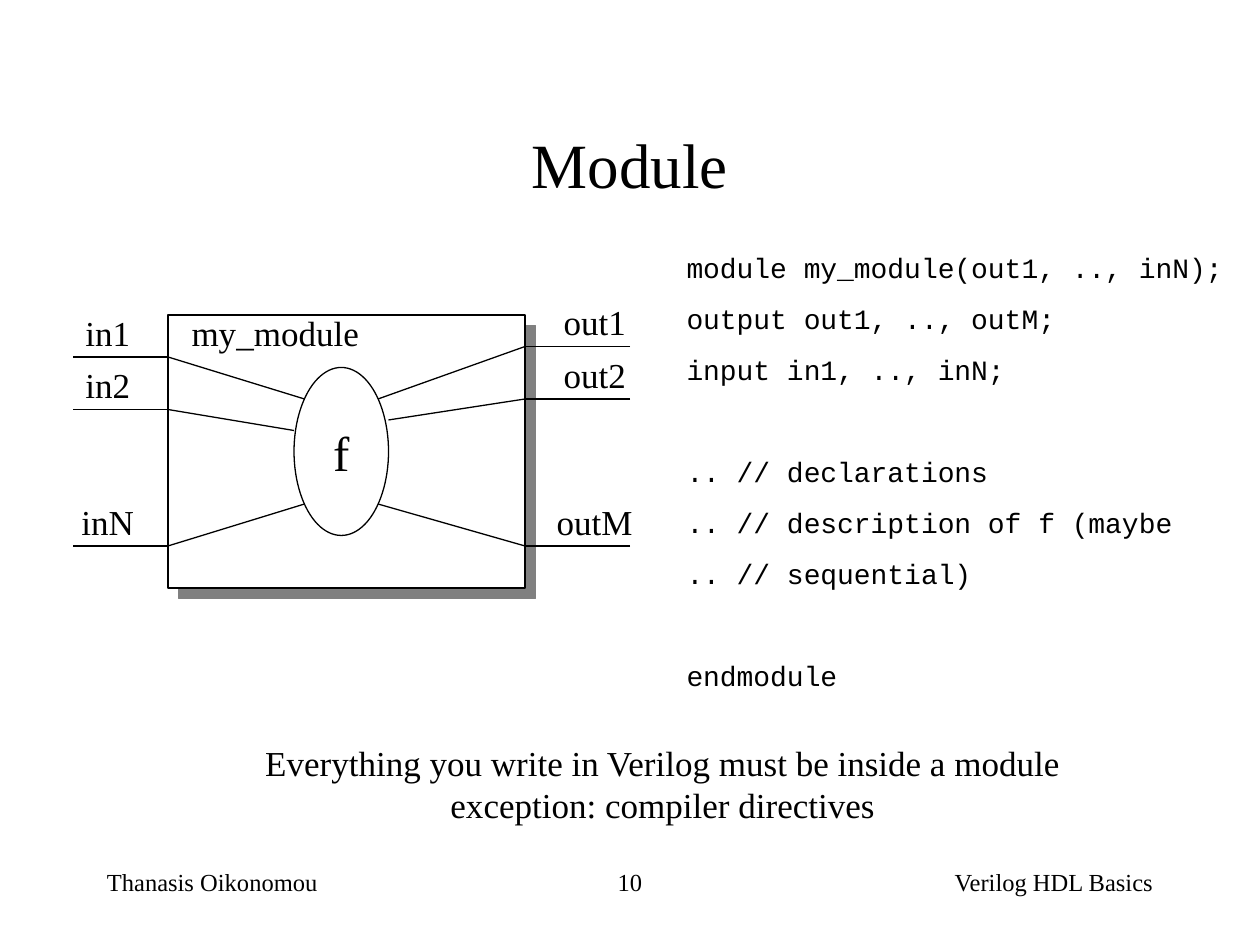
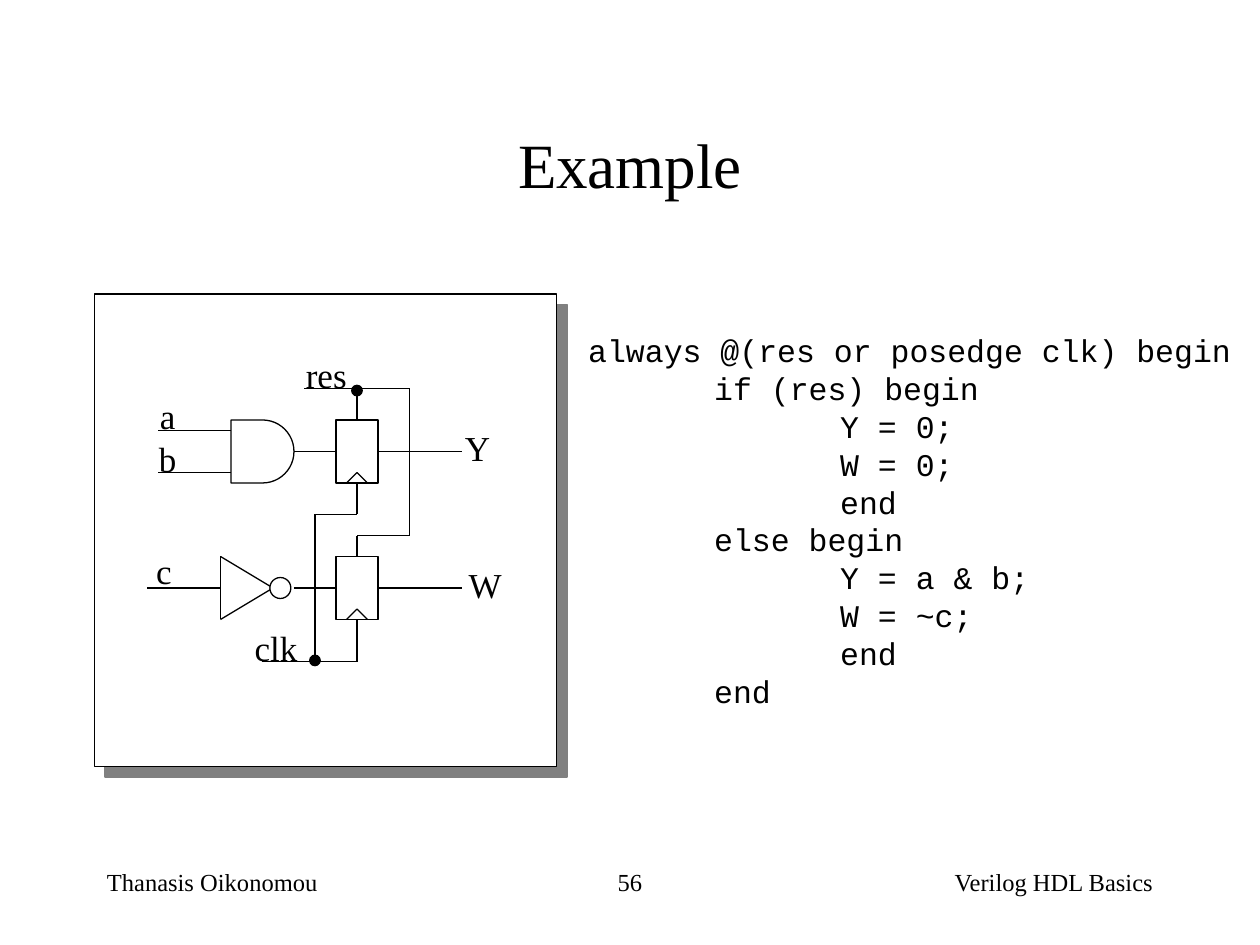
"""Build two Verilog slides: the module concept and a clocked example."""
from lxml import etree
from pptx import Presentation
from pptx.dml.color import RGBColor
from pptx.enum.shapes import MSO_CONNECTOR, MSO_SHAPE as Shape
from pptx.enum.text import MSO_ANCHOR as Anchor, MSO_AUTO_SIZE as AutoSize, PP_ALIGN as Align
from pptx.oxml.ns import qn
from pptx.util import Inches, Pt

COLORS = {"ink": "000000", "paper": "FFFFFF", "shadow": "808080"}
SERIF, MONO = "Times New Roman", "Courier New"
AUTHOR, COURSE = "Thanasis Oikonomou", "Verilog HDL Basics"
LABEL_HEIGHT = 0.44
SLACK_MARGIN = 0.05

# Diagram coordinates are in twelfths of an inch.
INPUTS = [("in1", 34, (29, 38), 0.55), ("in2", 39, (28, 41), 0.55), ("inN", 52, (29, 48), 0.61)]
OUTPUTS = [("out1", 33, (36, 38), 0.69), ("out2", 38, (37, 40), 0.69), ("outM", 52, (36, 48), 0.8)]
INPUT_CENTER, OUTPUT_CENTER = 0.855, 4.72
MODULE_CODE = [
    ["module my_module(out1, .., inN);", "output out1, .., outM;", "input in1, .., inN;"],
    [".. // declarations", ".. // description of f (maybe", ".. // sequential)"],
    ["endmodule"],
]
MODULE_RULE = ["Everything you write in Verilog must be inside a module",
               "exception: compiler directives"]

REGISTERS = [(32, 40), (32, 53)]
WIRES = [
    [(36, 43), (44, 43)],
    [(36, 56), (44, 56)],
    [(28, 43), (32, 43)],
    [(28, 56), (32, 56)],
    [(22, 41), (15, 41)],
    [(22, 45), (15, 45)],
    [(21, 56), (14, 56)],
    [(21, 59), (21, 53), (26, 56), (21, 59)],
    [(29, 37), (39, 37), (39, 51), (34, 51), (34, 53)],
    [(34, 37), (34, 40)],
    [(25, 63), (34, 63), (34, 59)],
    [(34, 46), (34, 49), (30, 49), (30, 63)],
]
JUNCTIONS = [(30, 62.9), (34, 37.2)]
SIGNALS = [
    ("a", 1.17, 3.08, 0.32, Align.CENTER), ("b", 1.16, 3.42, 0.34, Align.CENTER),
    ("c", 1.14, 4.31, 0.32, Align.CENTER), ("Y", 3.59, 3.33, 0.4, Align.CENTER),
    ("W", 3.62, 4.42, 0.46, Align.CENTER), ("clk", 1.92, 4.92, 0.54, Align.RIGHT),
    ("res", 2.33, 2.75, 0.52, Align.RIGHT),
]
EXAMPLE_CODE = [
    "always @(res or posedge clk) begin",
    "\tif (res) begin",
    "\t\tY = 0;",
    "\t\tW = 0;",
    "\t\tend",
    "\telse begin",
    "\t\tY = a & b;",
    "\t\tW = ~c;",
    "\t\tend",
    "\tend",
]


def color(name):
    return RGBColor.from_string(COLORS[name])


def grid(*units):
    return [Inches(unit / 12) for unit in units]


def write(paragraph, text, size, font=SERIF, align=Align.LEFT):
    paragraph.alignment = align
    run = paragraph.add_run()
    run.text = text
    run.font.size, run.font.name = Pt(size), font
    run.font.color.rgb = color("ink")


def add_lines(slide, lines, box, size, font=SERIF, align=Align.LEFT, fit=True):
    frame = slide.shapes.add_textbox(*map(Inches, box)).text_frame
    frame.word_wrap = not fit
    frame.auto_size = AutoSize.SHAPE_TO_FIT_TEXT if fit else AutoSize.NONE
    frame.vertical_anchor = Anchor.MIDDLE if fit else Anchor.TOP
    if fit and align != Align.LEFT:
        frame.margin_left = Inches(SLACK_MARGIN)
    if fit and align != Align.RIGHT:
        frame.margin_right = Inches(SLACK_MARGIN)
    for index, line in enumerate(lines):
        paragraph = frame.add_paragraph() if index else frame.paragraphs[0]
        if "\t" in line:
            tabs = etree.SubElement(paragraph._p.get_or_add_pPr(), qn("a:tabLst"))
            for inch in (1, 2):
                etree.SubElement(tabs, qn("a:tab"), pos=str(Inches(inch)), algn="l")
        write(paragraph, line, size, font, align)
    return frame


def add_label(slide, text, left, top, width, align=Align.CENTER):
    add_lines(slide, [text], (left, top, width, LABEL_HEIGHT), 20, align=align)


def add_outline(slide, kind, box, fill="paper"):
    shape = slide.shapes.add_shape(kind, *grid(*box))
    shape.shadow.inherit = False
    if fill:
        shape.fill.solid()
        shape.fill.fore_color.rgb = color(fill)
    else:
        shape.fill.background()
    shape.line.color.rgb = color("ink")
    shape.line.width = Pt(0.75)
    return shape


def add_frame(slide, box):
    effects = add_outline(slide, Shape.RECTANGLE, box)._element.spPr.find(qn("a:effectLst"))
    shadow = etree.SubElement(effects, qn("a:outerShdw"), dist=str(Pt(8.5)),
                              dir=str(45 * 60000), algn="ctr", rotWithShape="0")
    etree.SubElement(shadow, qn("a:srgbClr"), val=COLORS["shadow"])


def side_middles(shape, box):
    left, top, width, height = box
    middle, center = top + height / 2, left + width / 2
    points = [(center, top), (left, middle), (center, top + height), (left + width, middle)]
    return {point: (shape, site) for site, point in enumerate(points)}


def add_wire(slide, points, joints={}):
    for start, end in zip(points, points[1:]):
        line = slide.shapes.add_connector(MSO_CONNECTOR.STRAIGHT, *grid(*start, *end))
        line.line.color.rgb = color("ink")
        line.line.width = Pt(0.75)
        etree.SubElement(line._element.spPr, qn("a:effectLst"))
        if start in joints:
            line.begin_connect(*joints[start])
        if end in joints:
            line.end_connect(*joints[end])


def add_slide(deck, title, number):
    slide = deck.slides.add_slide(deck.slide_layouts[5])
    heading = slide.shapes.title
    heading.left, heading.top, heading.width, heading.height = map(Inches, (0.75, 0.67, 8.5, 1.25))
    heading.text_frame.vertical_anchor = Anchor.MIDDLE
    write(heading.text_frame.paragraphs[0], title, 36, align=Align.CENTER)
    for text, left, width, align in [(AUTHOR, 0.75, 2.08, Align.LEFT),
                                     (COURSE, 6.08, 3.17, Align.RIGHT),
                                     (number, 3.96, 2.08, Align.CENTER)]:
        add_lines(slide, [text], (left, 6.83, width, 0.5), 14, align=align, fit=False)
    return slide


def build_module(deck):
    slide = add_slide(deck, "Module", "10")
    add_frame(slide, (16, 30, 34, 26))
    function = add_outline(slide, Shape.OVAL, (28, 35, 9, 16)).text_frame
    function.word_wrap = False
    function.vertical_anchor = Anchor.MIDDLE
    write(function.paragraphs[0], "f", 28, align=Align.CENTER)
    for ports, outer, edge, center in [(INPUTS, 7, 16, INPUT_CENTER),
                                       (OUTPUTS, 60, 50, OUTPUT_CENTER)]:
        for name, height, target, width in ports:
            add_wire(slide, [(outer, height), (edge, height), target])
            add_label(slide, name, center - width / 2, (height - 5) / 12, width)
    add_label(slide, "my_module", 1.42, 2.42, 1.53)

    code = add_lines(slide, sum(MODULE_CODE, []), (5.35, 1.94, 4.45, 3.6), 16, MONO)
    gaps = [39 if block and not row else 10
            for block, rows in enumerate(MODULE_CODE) for row in range(len(rows))]
    for paragraph, gap in list(zip(code.paragraphs, gaps))[1:]:
        paragraph.space_before = Pt(gap)
    add_lines(slide, MODULE_RULE, (1.99, 5.83, 6.54, 0.77), 20, align=Align.CENTER)


def build_example(deck):
    slide = add_slide(deck, "Example", "56")
    add_frame(slide, (9, 28, 44, 45))
    joints = {}
    for left, top in REGISTERS:
        box = (left, top, 4, 6)
        joints.update(side_middles(add_outline(slide, Shape.RECTANGLE, box), box))
        add_wire(slide, [(left + 1, top + 6), (left + 2, top + 5), (left + 3, top + 6)])
    and_gate = (22, 40, 6, 6)
    joints.update(side_middles(add_outline(slide, Shape.FLOWCHART_DELAY, and_gate, None), and_gate))
    for points in WIRES:
        add_wire(slide, points, joints)
    add_outline(slide, Shape.OVAL, (25.7, 55, 2, 2))
    for x, y in JUNCTIONS:
        add_outline(slide, Shape.OVAL, (x - 0.5, y - 0.5, 1, 1), "ink")
    for signal in SIGNALS:
        add_label(slide, *signal)
    add_lines(slide, EXAMPLE_CODE, (4.57, 2.58, 5.3, 3.1), 18, MONO)


def main():
    deck = Presentation()
    deck.slide_width, deck.slide_height = Inches(10), Inches(7.5)
    build_module(deck)
    build_example(deck)
    deck.save("out.pptx")


if __name__ == "__main__":
    main()
